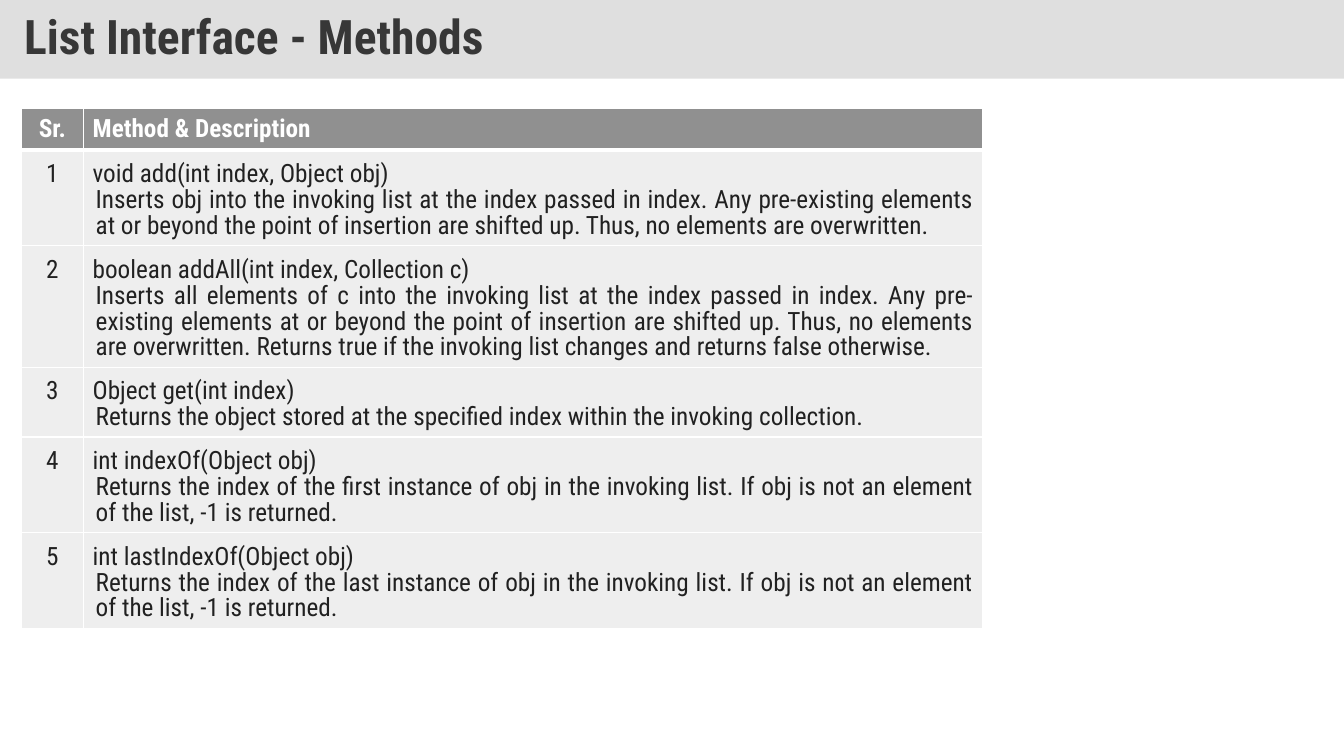
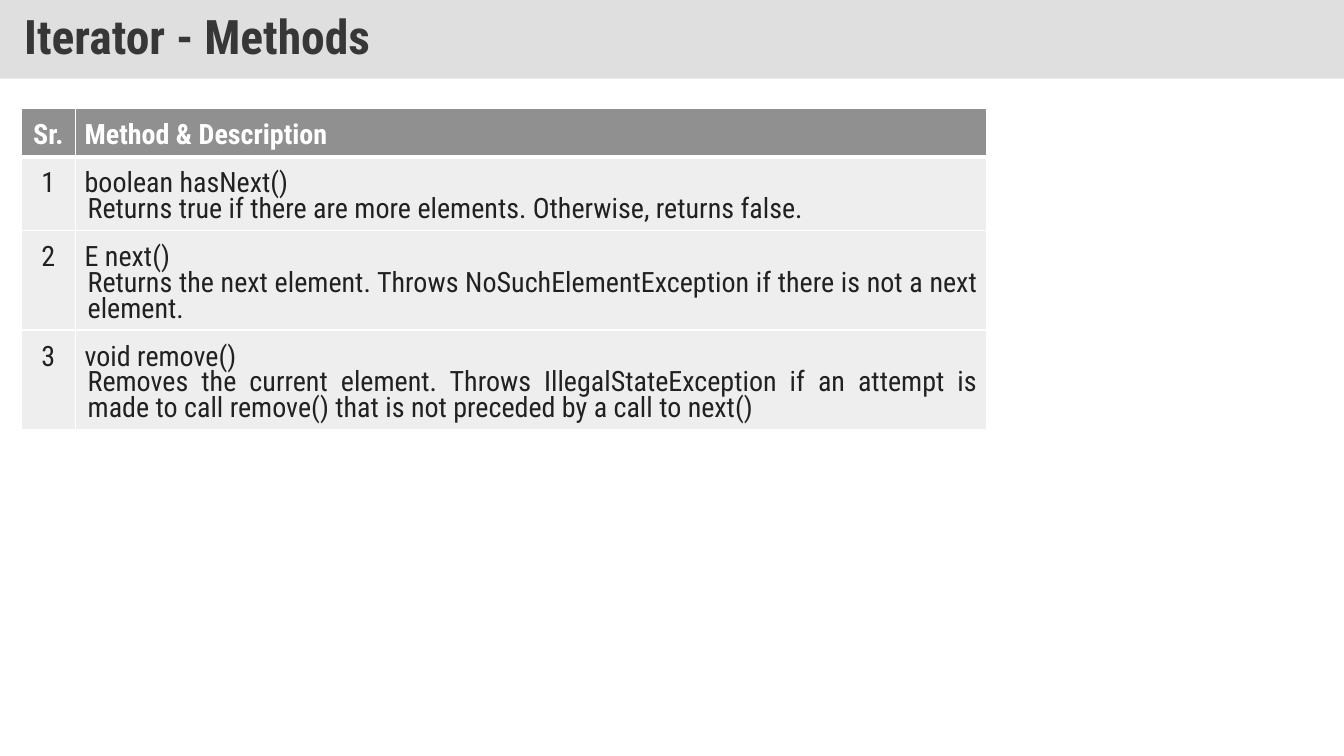
from dataclasses import dataclass

from lxml.etree import SubElement
from pptx import Presentation
from pptx.dml.color import RGBColor
from pptx.enum.shapes import MSO_SHAPE as Shape
from pptx.enum.text import MSO_ANCHOR as Anchor, PP_ALIGN as Align
from pptx.oxml.ns import qn
from pptx.util import Inches, Pt


@dataclass(frozen=True)
class Theme:
    font: str = "Roboto Condensed"
    band: str = "DFDFDF"
    title: str = "373737"
    header: str = "909090"
    row: str = "EEEEEE"
    text: str = "212121"
    white: str = "FFFFFF"
    title_size: float = 34
    thin: float = 0.96
    thick: float = 3
    tight_line: float = 18.4
    loose_line: float = 1.15


@dataclass(frozen=True)
class MethodList:
    title: str
    columns: tuple
    size: float
    header_spacing: float
    methods: tuple


THEME = Theme()
SLIDE_WIDTH, SLIDE_HEIGHT = 13.33, 7.5
BAND_BOX = (0, 0, SLIDE_WIDTH, 0.78)
TABLE_CORNER = (0.21, 1.08)
ROW_HEIGHT = 0.41  # rows grow to fit their text

LISTS = (
    MethodList("List Interface - Methods", (0.62, 8.92), 18, 1.0, (
        ("void add(int index, Object obj)",
         "Inserts obj into the invoking list at the index passed in index. "
         "Any pre-existing elements at or beyond the point of insertion are "
         "shifted up. Thus, no elements are overwritten."),
        ("boolean addAll(int index, Collection c)",
         "Inserts all elements of c into the invoking list at the index "
         "passed in index. Any pre-existing elements at or beyond the point "
         "of insertion are shifted up. Thus, no elements are overwritten. "
         "Returns true if the invoking list changes and returns false "
         "otherwise."),
        ("Object get(int index)",
         "Returns the object stored at the specified index within the "
         "invoking collection."),
        ("int indexOf(Object obj)",
         "Returns the index of the first instance of obj in the invoking "
         "list. If obj is not an element of the list, -1 is returned."),
        ("int lastIndexOf(Object obj)",
         "Returns the index of the last instance of obj in the invoking "
         "list. If obj is not an element of the list, -1 is returned."),
    )),
    MethodList("Iterator - Methods", (0.54, 9.04), 20, THEME.loose_line, (
        ("boolean hasNext()",
         "Returns true if there are more elements. Otherwise, returns false."),
        ("E next()",
         "Returns the next element. Throws NoSuchElementException if there "
         "is not a next element."),
        ("void remove()",
         "Removes the current element. Throws IllegalStateException if an "
         "attempt is made to call remove() that is not preceded by a call "
         "to next()"),
    )),
)


def set_paragraph(para, text, size, color, spacing, bold=False, align=Align.LEFT):
    para.text = text
    para.alignment = align
    para.line_spacing = spacing
    font = para.font
    font.name, font.size, font.bold = THEME.font, Pt(size), bold
    font.color.rgb = RGBColor.from_string(color)


def set_insets(frame, side, end):
    frame.margin_left = frame.margin_right = Inches(side)
    frame.margin_top = frame.margin_bottom = Inches(end)


def style_cell(cell, fill, top, bottom):
    """White borders on all sides, then the fill."""
    set_insets(cell, 0.09, 0.05)
    props = cell._tc.get_or_add_tcPr()
    for side, width in (("L", THEME.thin), ("R", THEME.thin), ("T", top), ("B", bottom)):
        line = SubElement(props, qn(f"a:ln{side}"), w=str(Pt(width)))
        SubElement(SubElement(line, qn("a:solidFill")), qn("a:srgbClr"), val=THEME.white)
    cell.fill.solid()
    cell.fill.fore_color.rgb = RGBColor.from_string(fill)


def add_title_band(page, box, title):
    band = page.shapes.add_shape(Shape.RECTANGLE, *map(Inches, box))
    band.shadow.inherit = False
    band.fill.solid()
    band.fill.fore_color.rgb = RGBColor.from_string(THEME.band)
    band.line.fill.background()
    frame = band.text_frame
    frame.word_wrap = True
    frame.vertical_anchor = Anchor.MIDDLE
    set_insets(frame, 0.24, 0.12)
    set_paragraph(frame.paragraphs[0], title, THEME.title_size, THEME.title, 0.9, bold=True)


def add_method_table(page, corner, content):
    rows = len(content.methods) + 1
    size = (sum(content.columns), rows * ROW_HEIGHT)
    table = page.shapes.add_table(rows, 2, *map(Inches, corner + size)).table
    table.horz_banding = False
    for column, width in zip(table.columns, content.columns):
        column.width = Inches(width)

    # Header row
    for cell, text, align in zip(table.rows[0].cells, ("Sr.", "Method & Description"),
                                 (Align.CENTER, Align.LEFT)):
        style_cell(cell, THEME.header, THEME.thin, THEME.thick)
        set_paragraph(cell.text_frame.paragraphs[0], text, content.size, THEME.white,
                      content.header_spacing, bold=True, align=align)

    # One numbered row for each method
    for number, (signature, description) in enumerate(content.methods, 1):
        number_cell, method_cell = table.rows[number].cells
        top = THEME.thick if number == 1 else THEME.thin
        for cell in (number_cell, method_cell):
            style_cell(cell, THEME.row, top, THEME.thin)
        set_paragraph(number_cell.text_frame.paragraphs[0], str(number), content.size,
                      THEME.text, THEME.loose_line, align=Align.CENTER)
        frame = method_cell.text_frame
        set_paragraph(frame.paragraphs[0], signature, content.size,
                      THEME.text, THEME.loose_line)
        para = frame.add_paragraph()
        set_paragraph(para, description, content.size, THEME.text,
                      Pt(THEME.tight_line), align=Align.JUSTIFY)
        para._p.get_or_add_pPr().set("marL", str(Inches(0.03)))


def add_method_slide(deck, content):
    page = deck.slides.add_slide(deck.slide_layouts[6])
    add_title_band(page, BAND_BOX, content.title)
    add_method_table(page, TABLE_CORNER, content)


def main():
    deck = Presentation()
    deck.slide_width, deck.slide_height = Inches(SLIDE_WIDTH), Inches(SLIDE_HEIGHT)
    for content in LISTS:
        add_method_slide(deck, content)
    deck.save("out.pptx")


if __name__ == "__main__":
    main()
